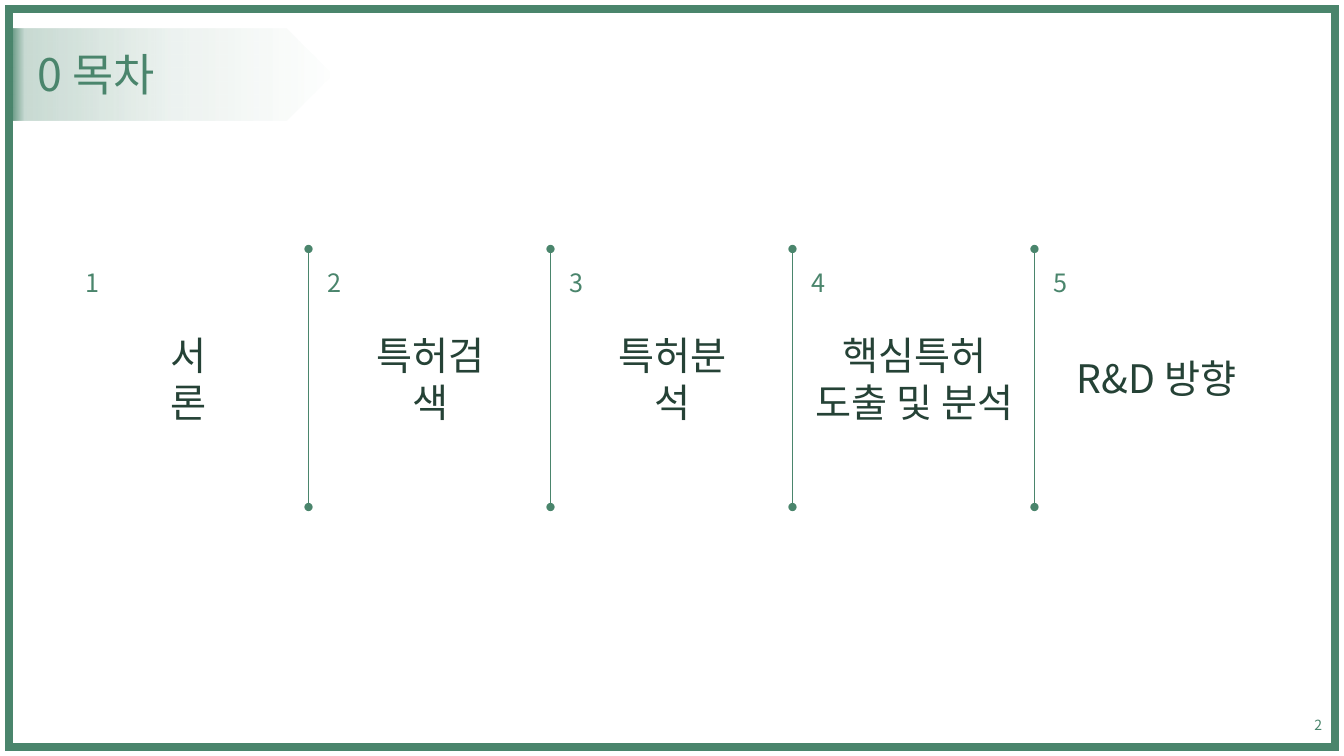
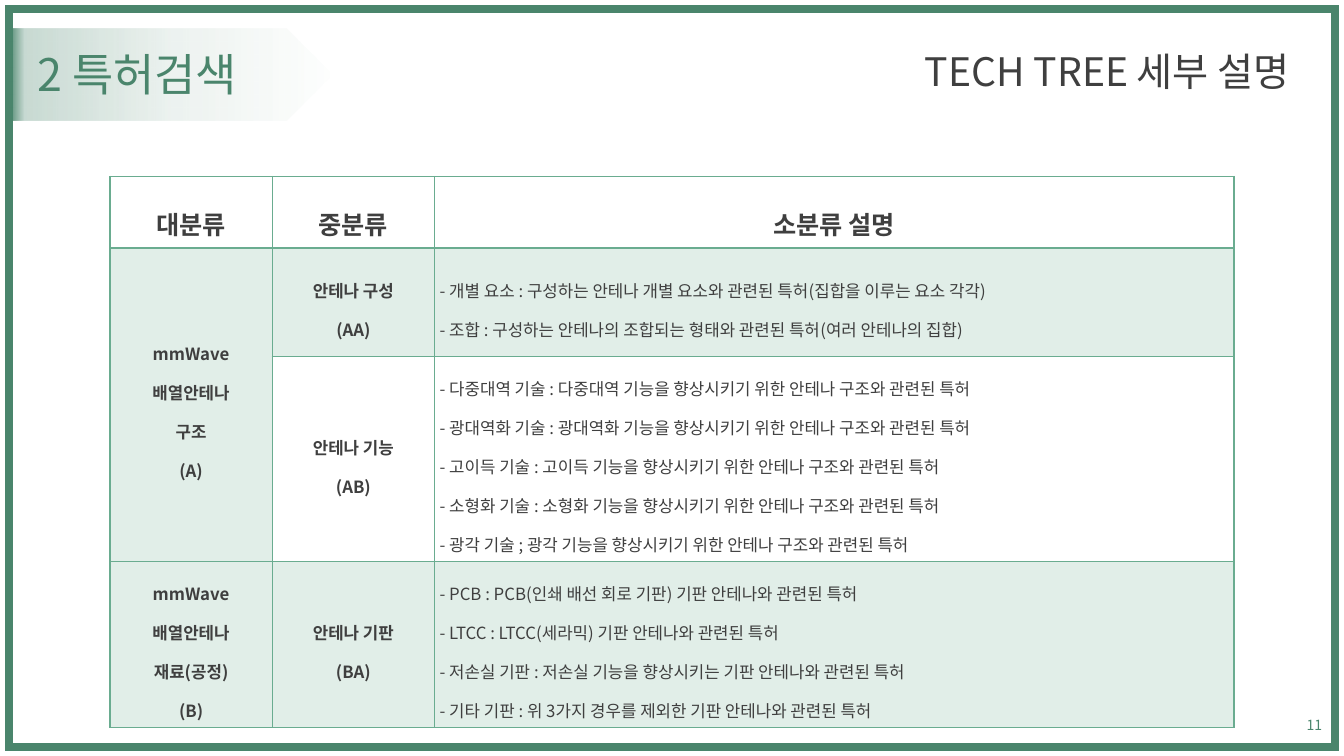
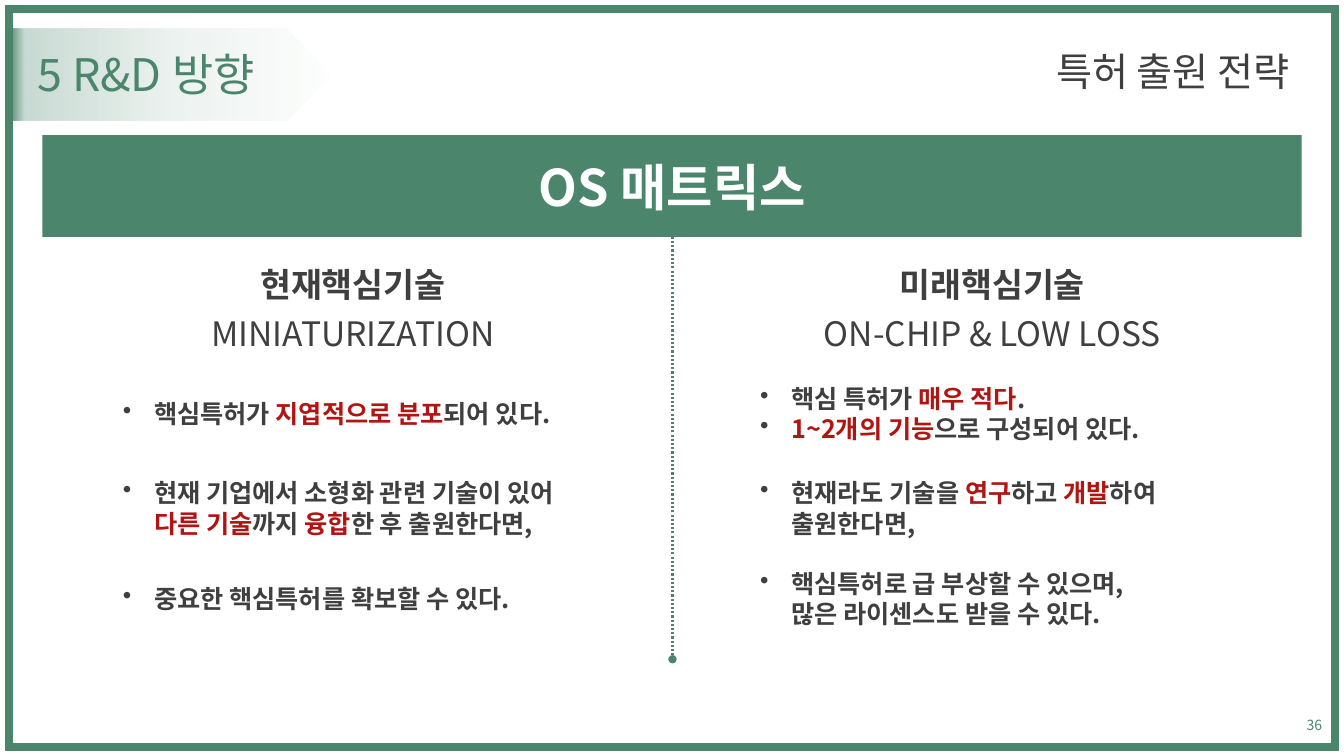
import pptx
import pptx.dml.color
import pptx.enum.dml
import pptx.enum.shapes
import pptx.enum.text
import pptx.oxml
import pptx.oxml.ns
import pptx.util
from lxml import etree
from pptx.util import Inches

COLORS = {
    "green": "4A856C",
    "dark_green": "254236",
    "mint": "6AAC90",
    "text": "3F3F3F",
    "red": "B01513",
    "white": "FFFFFF",
}
FONT = "Noto Sans CJK KR"
ALIGN = pptx.enum.text.PP_ALIGN
ANCHOR = pptx.enum.text.MSO_ANCHOR
SHAPE = pptx.enum.shapes.MSO_SHAPE


def rgb(name):
    return pptx.dml.color.RGBColor.from_string(COLORS[name])


def sub(parent, tag, **attributes):
    """Append a DrawingML child element."""
    child = etree.SubElement(parent, pptx.oxml.ns.qn("a:" + tag))
    for key, value in attributes.items():
        child.set(key, str(value))
    return child


def add_color(parent, name, opacity=100):
    color = sub(parent, "srgbClr", val=COLORS[name])
    if opacity < 100:
        sub(color, "alpha", val=opacity * 1000)


class Deck:
    def __init__(self):
        self.prs = pptx.Presentation()
        self.prs.slide_width = Inches(13.33)
        self.prs.slide_height = Inches(7.5)
        self.slide = None

    def new_slide(self, title, number, subtitle=None):
        """Start a slide with its frame, fading title arrow and page number."""
        self.slide = self.prs.slides.add_slide(self.prs.slide_layouts[6])
        frame = self.shape(SHAPE.RECTANGLE, 0.09, 0.09, 13.15, 7.32)
        frame.fill.background()
        frame.line.color.rgb = rgb("green")
        frame.line.width = pptx.util.Pt(6)
        sub(frame.line._ln, "miter", lim=800000)
        self.title_arrow()
        self.text(0.27, 0.43, 5.32, 0.61, [title], 32, "green", align=ALIGN.JUSTIFY)
        if subtitle:
            self.text(6.89, 0.43, 6, 0.61, [subtitle], 28, align=ALIGN.RIGHT, spacing=0.9)
        self.text(12.6, 6.99, 0.61, 0.4, [str(number)], 10, "green", align=ALIGN.RIGHT)

    def title_arrow(self):
        arrow = self.shape(SHAPE.RIGHT_ARROW, 0.09, 0.28, 3.21, 0.92)
        arrow.adjustments[0] = 1
        arrow.adjustments[1] = 0.5
        arrow.fill.gradient()
        arrow.fill.gradient_angle = 0
        stops = arrow.element.spPr.find(".//" + pptx.oxml.ns.qn("a:gsLst"))
        for stop in list(stops):
            stops.remove(stop)
        for position, opacity in ((0, 100), (5, 30), (50, 10), (100, 0)):
            add_color(sub(stops, "gs", pos=position * 1000), "green", opacity)

    def shape(self, kind, x, y, w, h):
        """Add a preset shape without outline or shadow."""
        shape = self.slide.shapes.add_shape(kind, Inches(x), Inches(y), Inches(w), Inches(h))
        shape.shadow.inherit = False
        shape.line.fill.background()
        return shape

    def text(self, x, y, w, h, lines, size, color="text", bold=False,
             align=ALIGN.CENTER, anchor=ANCHOR.MIDDLE, spacing=None, bullets=False):
        box = self.slide.shapes.add_textbox(Inches(x), Inches(y), Inches(w), Inches(h))
        box.text_frame.word_wrap = True
        box.text_frame.vertical_anchor = anchor
        self.fill_text(box.text_frame, lines, size, color, bold, align, spacing, bullets)

    def fill_text(self, frame, lines, size, color="text", bold=False,
                  align=ALIGN.LEFT, spacing=None, bullets=False):
        """Write one paragraph per line; parts between asterisks turn red."""
        for index, line in enumerate(lines):
            paragraph = frame.add_paragraph() if index else frame.paragraphs[0]
            if bullets:
                self.bullet(paragraph)
            paragraph.alignment = align
            if spacing:
                paragraph.line_spacing = spacing
            for part, words in enumerate(line.split("*")):
                for row, piece in enumerate(words.split("\n")):
                    if row:
                        paragraph.add_line_break()
                    if piece:
                        self.run(paragraph, piece, size, "red" if part % 2 else color, bold)

    def run(self, paragraph, words, size, color, bold):
        run = paragraph.add_run()
        run.text = words
        run.font.size = pptx.util.Pt(size)
        run.font.bold = bold
        run.font.color.rgb = rgb(color)
        run.font.name = FONT
        sub(run.font._element, "ea", typeface=FONT)

    def bullet(self, paragraph):
        properties = paragraph._p.get_or_add_pPr()
        properties.set("marL", str(Inches(0.31)))
        properties.set("indent", str(-Inches(0.31)))
        add_color(sub(properties, "buClr"), "text")
        sub(properties, "buChar", char="•")

    def divider(self, x, top, bottom, width, ends, dash=None):
        """Vertical line with round ends."""
        line = self.slide.shapes.add_connector(
            pptx.enum.shapes.MSO_CONNECTOR.STRAIGHT,
            Inches(x), Inches(top), Inches(x), Inches(bottom))
        line.line.color.rgb = rgb("green")
        line.line.width = pptx.util.Pt(width)
        if dash:
            line.line.dash_style = dash
        for end in ends:
            sub(line.line._ln, end, type="oval")
        sub(line._element.spPr, "effectLst")

    def table(self, x, y, widths, heights):
        table = self.slide.shapes.add_table(
            len(heights), len(widths), Inches(x), Inches(y),
            Inches(sum(widths)), Inches(sum(heights))).table
        table.first_row = table.horz_banding = False
        for column, width in zip(table.columns, widths):
            column.width = Inches(width)
        for row, height in zip(table.rows, heights):
            row.height = Inches(height)
        return table

    def cell(self, cell, lines, size=12, bold=True, align=ALIGN.CENTER,
             shaded=False, bottom=1):
        cell.margin_left = cell.margin_right = Inches(0.05)
        cell.margin_top = cell.margin_bottom = Inches(0.05)
        cell.vertical_anchor = ANCHOR.MIDDLE
        self.fill_text(cell.text_frame, lines, size, "text", bold, align, 1.6)
        properties = cell._tc.get_or_add_tcPr()
        for side, width in (("lnL", 1), ("lnR", 1), ("lnT", 1), ("lnB", bottom)):
            border = sub(properties, side, w=pptx.util.Pt(width))
            add_color(sub(border, "solidFill"), "mint")
        if shaded:
            add_color(sub(properties, "solidFill"), "mint", 20)
        else:
            sub(properties, "noFill")


def contents_slide(deck):
    deck.new_slide("0 목차", 2)
    pitch = 2.4
    chapters = [
        (["서론"], 0.85), (["특허검색"], 1.49), (["특허분석"], 1.49),
        (["핵심특허", "도출 및 분석"], 2.25), (["R&D 방향"], 1.84),
    ]
    for index, (name, width) in enumerate(chapters):
        offset = index * pitch
        deck.text(1.87 + offset - width / 2, 3.23, width, 1.04, name, 28, "dark_green")
        deck.text(0.75 + offset, 2.6, 0.34, 0.4, [str(index + 1)], 18, "green",
                  align=ALIGN.LEFT, anchor=ANCHOR.TOP)
        if index:
            deck.divider(0.66 + offset, 2.47, 5.03, 0.5, ("headEnd", "tailEnd"))


def tech_tree_slide(deck):
    deck.new_slide("2 특허검색", 11, "TECH TREE 세부 설명")
    table = deck.table(1.09, 1.75, [1.61, 1.61, 7.93], [0.71, 1.08, 2.03, 1.65])
    for column, heading in enumerate(("대분류", "중분류", "소분류 설명")):
        deck.cell(table.cell(0, column), [heading], 18, bottom=2)
    groups = [
        (["mmWave", "배열안테나", "구조\n(A)"], ["안테나 구성", "(AA)"], [
            "- 개별 요소 : 구성하는 안테나 개별 요소와 관련된 특허(집합을 이루는 요소 각각)",
            "- 조합 : 구성하는 안테나의 조합되는 형태와 관련된 특허(여러 안테나의 집합)",
        ], True),
        ([], ["안테나 기능\n(AB)"], [
            "- 다중대역 기술 : 다중대역 기능을 향상시키기 위한 안테나 구조와 관련된 특허",
            "- 광대역화 기술 : 광대역화 기능을 향상시키기 위한 안테나 구조와 관련된 특허",
            "- 고이득 기술 : 고이득 기능을 향상시키기 위한 안테나 구조와 관련된 특허",
            "- 소형화 기술 : 소형화 기능을 향상시키기 위한 안테나 구조와 관련된 특허",
            "- 광각 기술 ; 광각 기능을 향상시키기 위한 안테나 구조와 관련된 특허",
        ], False),
        (["mmWave", "배열안테나", "재료(공정)\n(B)"], ["안테나 기판\n(BA)"], [
            "- PCB : PCB(인쇄 배선 회로 기판) 기판 안테나와 관련된 특허",
            "- LTCC : LTCC(세라믹) 기판 안테나와 관련된 특허",
            "- 저손실 기판 : 저손실 기능을 향상시키는 기판 안테나와 관련된 특허",
            "- 기타 기판 : 위 3가지 경우를 제외한 기판 안테나와 관련된 특허",
        ], True),
    ]
    for row, (major, middle, details, shaded) in enumerate(groups, start=1):
        deck.cell(table.cell(row, 0), major, shaded=shaded)
        deck.cell(table.cell(row, 1), middle, shaded=shaded)
        deck.cell(table.cell(row, 2), details, bold=False, align=ALIGN.JUSTIFY, shaded=shaded)
    table.cell(1, 0).merge(table.cell(2, 0))


def strategy_slide(deck):
    deck.new_slide("5 R&D 방향", 36, "특허 출원 전략")
    band = deck.shape(SHAPE.RECTANGLE, 0.42, 1.34, 12.49, 1.01)
    band.fill.solid()
    band.fill.fore_color.rgb = rgb("green")
    deck.text(5.13, 1.49, 3.08, 0.71, ["OS 매트릭스"], 36, "white", bold=True)
    deck.divider(6.67, 2.35, 6.54, 1.5, ("tailEnd",), pptx.enum.dml.MSO_LINE.ROUND_DOT)
    halves = [
        (3.5, "현재핵심기술", "MINIATURIZATION", 1.12, 4.96, [
            (3.9, ["핵심특허가 *지엽적으로 분포*되어 있다."]),
            (4.69, ["현재 기업에서 소형화 관련 기술이 있어 *다른 기술*까지 *융합*한 후 출원한다면,"]),
            (5.74, ["중요한 핵심특허를 확보할 수 있다."]),
        ]),
        (9.84, "미래핵심기술", "ON-CHIP & LOW LOSS", 7.44, 5.08, [
            (3.75, ["핵심 특허가 *매우 적다*.", "*1~2개의 기능*으로 구성되어 있다."]),
            (4.69, ["현재라도 기술을 *연구*하고 *개발*하여 출원한다면,"]),
            (5.59, ["핵심특허로 급 부상할 수 있으며,\n많은 라이센스도 받을 수 있다."]),
        ]),
    ]
    for center, heading, keyword, left, width, points in halves:
        deck.text(center - 1.96, 2.57, 3.92, 0.5, [heading], 24, bold=True)
        deck.text(center - 1.96, 3.05, 3.92, 0.5, [keyword], 24)
        for top, lines in points:
            deck.text(left, top, width, 0.71, lines, 18, bold=True, align=ALIGN.LEFT,
                      anchor=ANCHOR.TOP, bullets=True)


def main():
    deck = Deck()
    contents_slide(deck)
    tech_tree_slide(deck)
    strategy_slide(deck)
    deck.prs.save("out.pptx")


if __name__ == "__main__":
    main()
